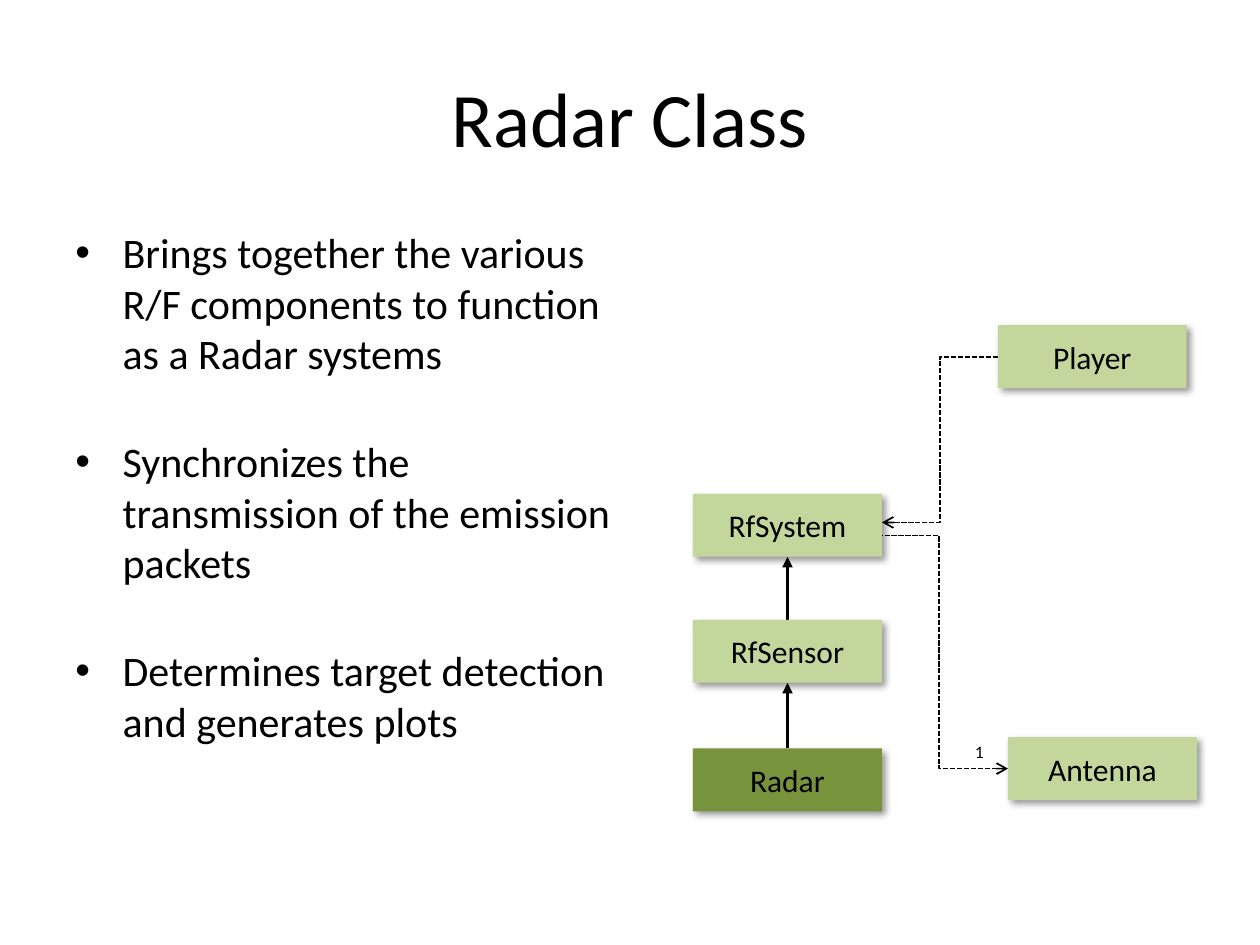
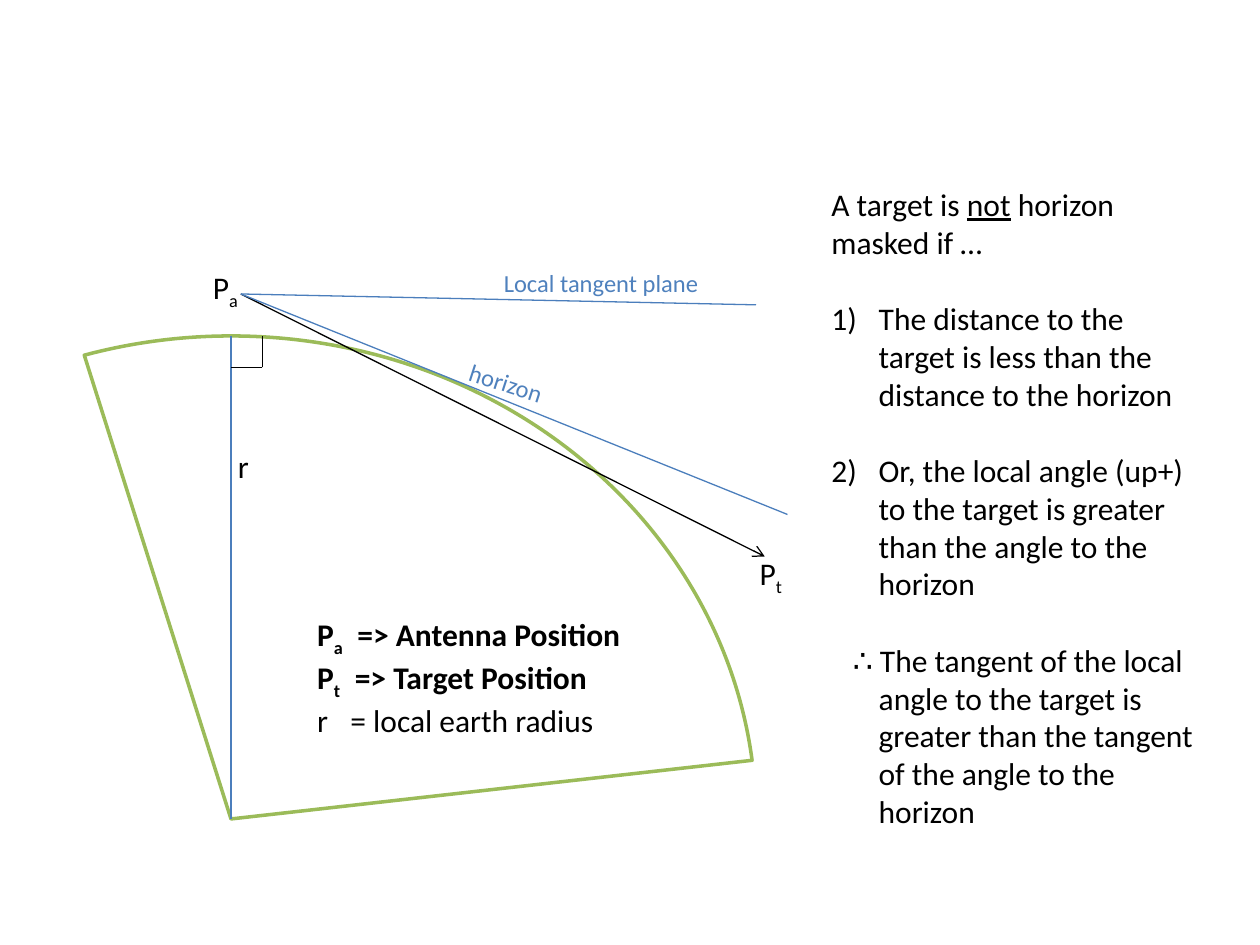
"""Build two slides on a radar class and its horizon masking."""
from dataclasses import dataclass

from lxml import etree
from pptx import Presentation
from pptx.dml.color import RGBColor
from pptx.enum.dml import MSO_LINE
from pptx.enum.shapes import MSO_CONNECTOR, MSO_SHAPE
from pptx.enum.text import MSO_ANCHOR, MSO_AUTO_SIZE, PP_ALIGN
from pptx.oxml.ns import qn
from pptx.util import Pt

RECT, PIE = MSO_SHAPE.RECTANGLE, MSO_SHAPE.PIE
STRAIGHT, ELBOW = MSO_CONNECTOR.STRAIGHT, MSO_CONNECTOR.ELBOW
DASH = MSO_LINE.SQUARE_DOT
CENTER, MIDDLE = PP_ALIGN.CENTER, MSO_ANCHOR.MIDDLE
GROW = MSO_AUTO_SIZE.SHAPE_TO_FIT_TEXT
TITLE_ONLY, BLANK = 5, 6
SUB = {"baseline": -25000}


@dataclass(frozen=True)
class Theme:
    font: str = "Calibri"
    ink: str = "000000"
    light_green: str = "C3D69B"
    dark_green: str = "77933C"
    earth_green: str = "9BBB59"
    sight_blue: str = "4B7EBC"
    label_blue: str = "4F81BD"
    title: int = 44
    body: int = 24
    text: int = 18
    label: int = 14
    tiny: int = 10


THEME = Theme()


def add_xml(parent, tag, **attributes):
    return etree.SubElement(parent, qn(tag), attributes)


def write(paragraph, text, *, size=THEME.text, color=THEME.ink, bold=False,
          underline=False, baseline=0):
    run = paragraph.add_run()
    run.text = text
    font = run.font
    font.name, font.size = THEME.font, Pt(size)
    font.bold, font.underline = bold, underline
    font.color.rgb = RGBColor.from_string(color)
    if baseline:
        run._r.get_or_add_rPr().set("baseline", str(baseline))


def indent(paragraph, left, first):
    properties = paragraph._p.get_or_add_pPr()
    properties.set("marL", str(Pt(left)))
    properties.set("indent", str(Pt(first)))
    return properties


class Deck:
    def __init__(self, theme):
        self.theme = theme
        self.file = Presentation()
        self.file.slide_width, self.file.slide_height = Pt(720), Pt(540)
        self.slide = None

    def new_slide(self, title=None):
        layout = TITLE_ONLY if title else BLANK
        self.slide = self.file.slides.add_slide(self.file.slide_layouts[layout])
        if title:
            heading = self.slide.shapes.title
            heading.left, heading.top = Pt(36), Pt(21.6)
            heading.width, heading.height = Pt(648), Pt(90)
            heading.text_frame.vertical_anchor = MIDDLE
            paragraph = heading.text_frame.paragraphs[0]
            paragraph.alignment = CENTER
            write(paragraph, title, size=self.theme.title)

    def text(self, left, top, width, height, paragraphs, *, wrap=True, gap=0,
             rotation=0, **style):
        box = self.slide.shapes.add_textbox(Pt(left), Pt(top), Pt(width), Pt(height))
        box.rotation = rotation
        frame = box.text_frame
        frame.word_wrap, frame.auto_size = wrap, GROW
        for index, runs in enumerate(paragraphs):
            paragraph = frame.add_paragraph() if index else frame.paragraphs[0]
            paragraph.space_before = Pt(gap if index else 0)
            for text, own in runs:
                write(paragraph, text, **{**style, **own})
        return frame.paragraphs

    def label(self, left, top, width, height, *runs, **style):
        self.text(left, top, width, height, [runs], wrap=False, **style)

    def class_box(self, name, left, top, fill):
        box = self.slide.shapes.add_shape(RECT, Pt(left), Pt(top), Pt(108), Pt(36))
        box.fill.solid()
        box.fill.fore_color.rgb = RGBColor.from_string(fill)
        box.line.fill.background()
        box.shadow.inherit = False
        effects = box._element.spPr.find(qn("a:effectLst"))
        shadow = add_xml(effects, "a:outerShdw", blurRad=str(Pt(4)),
                         dist=str(Pt(3)), dir="2700000", algn="tl", rotWithShape="0")
        shade = add_xml(shadow, "a:srgbClr", val=self.theme.ink)
        add_xml(shade, "a:alpha", val="40000")
        box.text_frame.vertical_anchor = MIDDLE
        paragraph = box.text_frame.paragraphs[0]
        paragraph.alignment = CENTER
        write(paragraph, name)

    def sector(self, center, radii, angles, color):
        (x, y), (rx, ry) = center, radii
        pie = self.slide.shapes.add_shape(
            PIE, Pt(x - rx), Pt(y - ry), Pt(2 * rx), Pt(2 * ry))
        for index, angle in enumerate(angles):
            pie.adjustments[index] = angle * 0.6
        pie.fill.background()
        pie.line.color.rgb = RGBColor.from_string(color)
        pie.line.width = Pt(2)
        pie.shadow.inherit = False

    def line(self, start, end, *, color=THEME.ink, width=0.75, kind=STRAIGHT,
             dash=None, arrow=None):
        link = self.slide.shapes.add_connector(kind, *map(Pt, (*start, *end)))
        link.line.color.rgb = RGBColor.from_string(color)
        link.line.width = Pt(width)
        if dash:
            link.line.dash_style = dash
        if arrow:
            add_xml(link.line._ln, "a:tailEnd", type=arrow)
        add_xml(link._element.spPr, "a:effectLst")


def radar_class(deck):
    theme = deck.theme
    deck.new_slide("Radar Class")
    duties = [
        "Brings together the various R/F components to function as a Radar systems",
        "Synchronizes the transmission of the emission packets",
        "Determines target detection and generates plots",
    ]
    for paragraph in deck.text(36, 126, 330, 356.4, [[(duty, {})] for duty in duties],
                               gap=33, size=theme.body):
        properties = indent(paragraph, 27, -27)
        add_xml(properties, "a:buFont", typeface="Arial")
        add_xml(properties, "a:buChar", char="•")

    for bottom, top in ((427.7, 390.2), (354.2, 318.2)):
        deck.line((450, bottom), (450, top), width=2, arrow="triangle")
    for start, end in (((497.5, 306), (576, 439.2)), ((570.2, 203.8), (504, 298.5))):
        deck.line(start, end, width=1, kind=ELBOW, dash=DASH, arrow="arrow")
    deck.label(550, 419.8, 19.4, 19.4, ("1", {}), size=theme.tiny)

    for name, left, top, fill in (
        ("Player", 570.2, 185.8, theme.light_green),
        ("RfSystem", 396, 282.2, theme.light_green),
        ("RfSensor", 396, 354.2, theme.light_green),
        ("Radar", 396, 427.7, theme.dark_green),
        ("Antenna", 576, 421.2, theme.light_green),
    ):
        deck.class_box(name, left, top, fill)


def horizon_masking(deck):
    theme = deck.theme
    earth_center, earth_top = (132, 468), (132, 192)
    antenna, target = (137.6, 168), (437, 318)
    corner = (150, 210)
    deck.new_slide()
    deck.sector(earth_center, (300, 276), (252.45, 353.58), theme.earth_green)
    deck.line(antenna, target, arrow="arrow")
    for start, end in ((antenna, (432, 174.2)), (antenna, (450, 294)),
                       (earth_center, earth_top)):
        deck.line(start, end, color=theme.sight_blue)
    for end in ((corner[0], earth_top[1]), (earth_top[0], corner[1])):
        deck.line(corner, end)

    blue = {"size": theme.label, "color": theme.label_blue}
    deck.label(280.8, 149.8, 126.7, 24.5, ("Local tangent plane", {}), **blue)
    deck.label(260.6, 206.6, 57.6, 24.5, ("horizon", {}), rotation=18, **blue)
    deck.label(114.5, 149.8, 29.5, 28.8, ("P", {}), ("a", SUB))
    deck.label(427, 313.2, 28, 28.8, ("P", {}), ("t", SUB))
    deck.label(128.9, 252, 20.9, 28.8, ("r", {}))

    legend = deck.text(174.2, 347.8, 216, 72.7, [
        [("P", {}), ("a", SUB), ("\t=> Antenna Position", {})],
        [("P", {}), ("t", SUB), ("\t=> Target Position", {})],
        [("r\t= local earth radius", {"bold": False})],
    ], bold=True)
    for paragraph, stop in zip(legend, (23, 21.5, 19)):
        tabs = add_xml(paragraph._p.get_or_add_pPr(), "a:tabLst")
        add_xml(tabs, "a:tab", pos=str(Pt(stop)), algn="l")

    _, *conditions, conclusion = deck.text(468, 102.2, 221.8, 378, [
        [("A target is ", {}), ("not", {"underline": True}),
         (" horizon masked if …", {})],
        [("The distance to the target is less than the distance to the horizon", {})],
        [("Or, the local angle (up+) to the target is greater than the angle "
          "to the horizon", {})],
        [("∴ The tangent of the local angle to the target is greater than the "
          "tangent of the angle to the horizon", {})],
    ], gap=22)
    for condition in conditions:
        add_xml(indent(condition, 27, -27), "a:buAutoNum", type="arabicParenR")
    indent(conclusion, 27, -14.75)


def main():
    deck = Deck(THEME)
    radar_class(deck)
    horizon_masking(deck)
    deck.file.save("out.pptx")


if __name__ == "__main__":
    main()
